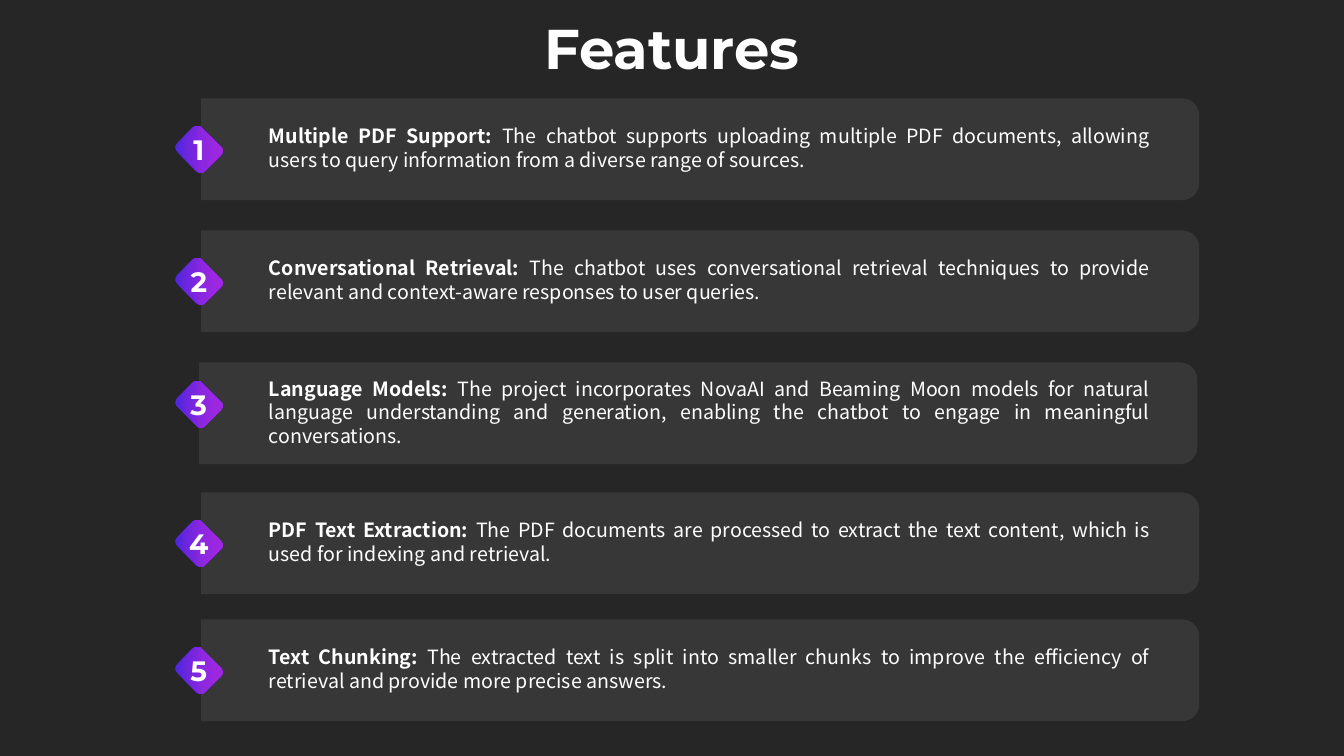
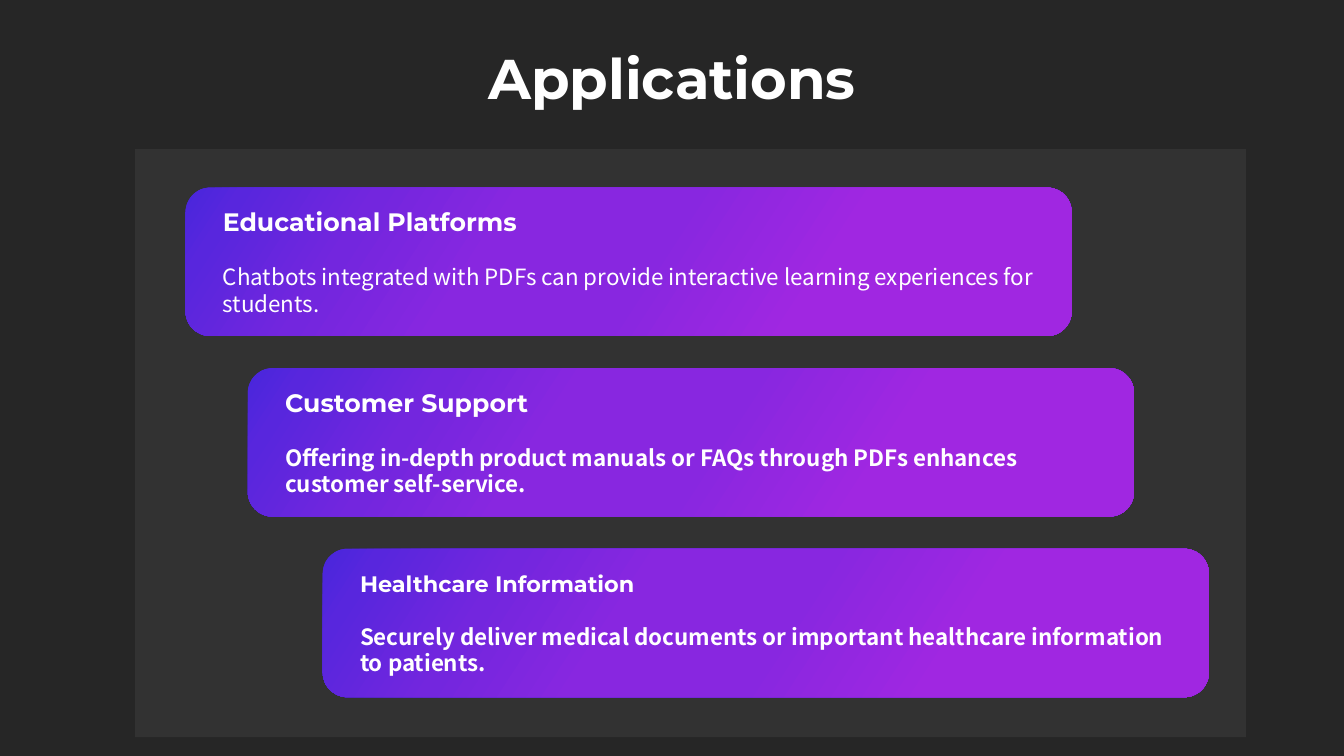
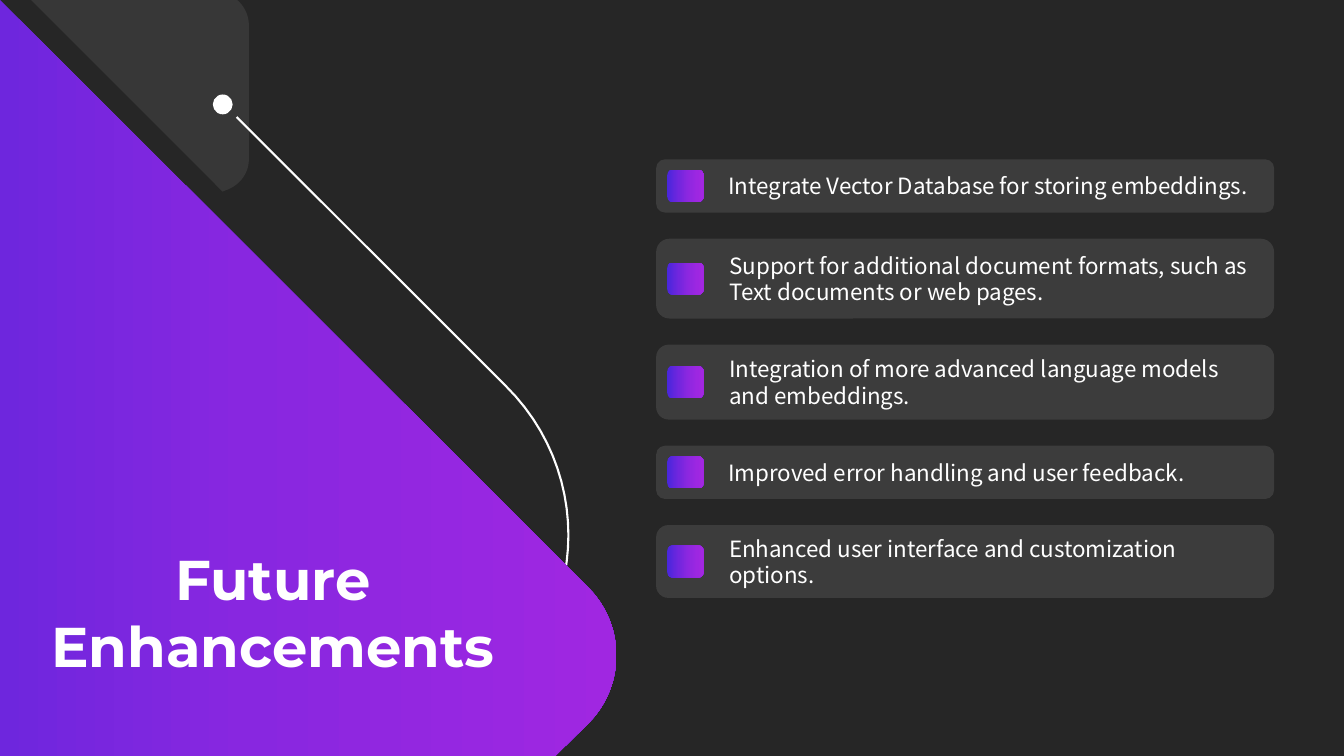
from dataclasses import dataclass

from lxml import etree
from pptx import Presentation
from pptx import util as u
from pptx.dml import color as c
from pptx.enum import shapes as s
from pptx.enum import text as t
from pptx.oxml import ns

COLORS = {
    "page": "262626", "white": "FFFFFF", "blue": "4826DC", "indigo": "4D26DC",
    "wedge": "6E26DD", "violet": "7226DE", "purple": "8827E0", "orchid": "9D27E1",
    "magenta": "A027E1", "deep": "5826DD", "plum": "7326DE", "mauve": "8D27E0",
    "pink": "A327E1",
}
HEAD_FONT = "Montserrat"
BODY_FONT = "Noto Sans CJK TC"
BADGE_STOPS = [(0, "blue"), (3, "indigo"), (32, "violet"), (58, "mauve"),
               (82, "orchid"), (100, "pink")]
CARD_STOPS = [(0, "blue"), (6, "deep"), (20, "plum"), (35, "purple"),
              (52, "purple"), (71, "magenta"), (100, "magenta")]
WEDGE_STOPS = [(0, "wedge"), (40, "purple"), (100, "magenta")]
LINE_HEIGHT = {14: 17, 16: 19}
MIDDLE = t.MSO_ANCHOR.MIDDLE


@dataclass
class Feature:
    label: str
    detail: str
    bar_mid: float
    badge_mid: float
    bar_left: float = 143.6


@dataclass
class Application:
    heading: str
    detail: str
    left: float
    heading_size: int = 18
    detail_bold: bool = True


@dataclass
class Enhancement:
    wording: str
    height: float


FEATURES = [
    Feature("Multiple PDF Support: ",
            "The chatbot supports uploading multiple PDF documents, allowing users to "
            "query information from a diverse range of sources.", 106.6, 106.6),
    Feature("Conversational Retrieval: ",
            "The chatbot uses conversational retrieval techniques to provide relevant "
            "and context-aware responses to user queries.", 200.9, 200.9),
    Feature("Language Models: ",
            "The project incorporates NovaAI and Beaming Moon models for natural language "
            "understanding and generation, enabling the chatbot to engage in meaningful "
            "conversations.", 295.2, 288.7, 142.2),
    Feature("PDF Text Extraction: ",
            "The PDF documents are processed to extract the text content, which is used "
            "for indexing and retrieval.", 388.1, 388.1),
    Feature("Text Chunking: ",
            "The extracted text is split into smaller chunks to improve the efficiency of "
            "retrieval and provide more precise answers.", 478.8, 478.8),
]
APPLICATIONS = [
    Application("Educational Platforms",
                "Chatbots integrated with PDFs can provide interactive learning "
                "experiences for students.", 132.5, detail_bold=False),
    Application("Customer Support",
                "Offering in-depth product manuals or FAQs through PDFs enhances "
                "customer self-service.", 177),
    Application("Healthcare Information",
                "Securely deliver medical documents or important healthcare information "
                "to patients.", 230.5, 16),
]
ENHANCEMENTS = [
    Enhancement("Integrate Vector Database for storing embeddings.", 38),
    Enhancement("Support for additional document formats, such as Text documents or "
                "web pages.", 57),
    Enhancement("Integration of more advanced language models and embeddings.", 53.5),
    Enhancement("Improved error handling and user feedback.", 38),
    Enhancement("Enhanced user interface and customization options.", 52),
]


# Fills and outlines
def rgb(name: str):
    return c.RGBColor.from_string(COLORS[name])


def fill_solid(shape, name: str, opacity: int = 100) -> None:
    shape.fill.solid()
    shape.fill.fore_color.rgb = rgb(name)
    if opacity < 100:
        tint = next(shape._element.spPr.iter(ns.qn("a:srgbClr")))
        etree.SubElement(tint, ns.qn("a:alpha")).set("val", str(opacity * 1000))


def fill_gradient(shape, stops: list, clockwise: float = 0) -> None:
    shape.fill.gradient()
    shape.fill.gradient_angle = (360 - clockwise) % 360
    stop_list = next(shape._element.spPr.iter(ns.qn("a:gsLst")))
    for old in list(stop_list):
        stop_list.remove(old)
    for position, name in stops:
        stop = etree.SubElement(stop_list, ns.qn("a:gs"), pos=str(position * 1000))
        etree.SubElement(stop, ns.qn("a:srgbClr"), val=COLORS[name])


def plain(shape):
    shape.shadow.inherit = False
    shape.line.fill.background()
    return shape


def add_block(slide, kind, left: float, top: float, width: float, height: float):
    return plain(slide.shapes.add_shape(
        kind, u.Pt(left), u.Pt(top), u.Pt(width), u.Pt(height)))


def bend(p0: tuple, p1: tuple, p2: tuple, p3: tuple, steps: int = 24) -> list:
    """Points along a cubic curve, ends included."""
    points = []
    for i in range(steps + 1):
        k = i / steps
        weights = ((1 - k) ** 3, 3 * k * (1 - k) ** 2, 3 * k * k * (1 - k), k ** 3)
        points.append(tuple(sum(w * p[axis] for w, p in zip(weights, (p0, p1, p2, p3)))
                            for axis in (0, 1)))
    return points


def add_outline(slide, points: list, close: bool = True):
    corners = [(u.Pt(x), u.Pt(y)) for x, y in points]
    builder = slide.shapes.build_freeform(*corners[0], scale=1.0)
    builder.add_line_segments(corners[1:], close=close)
    return plain(builder.convert_to_shape())


# Text
def style_run(run, size: float, font: str, bold: bool) -> None:
    run.font.size = u.Pt(size)
    run.font.name = font
    run.font.bold = bold
    run.font.color.rgb = rgb("white")


def style_paragraph(paragraph, size: float, font: str, bold: bool = False,
                    indent: float = 0, align=t.PP_ALIGN.LEFT) -> None:
    paragraph.alignment = align
    if font == BODY_FONT:
        paragraph.line_spacing = u.Pt(LINE_HEIGHT[size])
    if indent:
        properties = paragraph._p.get_or_add_pPr()
        properties.set("marL", str(u.Pt(indent)))
        properties.set("indent", "0")
    for run in paragraph.runs:
        style_run(run, size, font, bold)


def add_label(slide, wording: str, left: float, top: float, width: float, height: float):
    box = slide.shapes.add_textbox(u.Pt(left), u.Pt(top), u.Pt(width), u.Pt(height))
    frame = box.text_frame
    frame.word_wrap = True
    frame.vertical_anchor = MIDDLE
    frame.text = wording
    return frame.paragraphs[0]


def add_heading(slide, wording: str, left: float, top: float, width: float,
                height: float, size: float = 40) -> None:
    heading = add_label(slide, wording, left, top, width, height)
    style_paragraph(heading, size, HEAD_FONT, True, align=t.PP_ALIGN.CENTER)


# Slides
def add_feature(slide, number: int, feature: Feature) -> None:
    width, height, center = 713, 72.7, 142.2
    bar = add_block(slide, s.MSO_SHAPE.ROUND_2_SAME_RECTANGLE,
                    feature.bar_left + (width - height) / 2, feature.bar_mid - width / 2,
                    height, width)
    bar.rotation = 90
    fill_solid(bar, "white", 8)

    badge = add_block(slide, s.MSO_SHAPE.ROUNDED_RECTANGLE,
                      center - 14, feature.badge_mid - 12.2, 28, 24.4)
    badge.rotation = 45
    fill_gradient(badge, BADGE_STOPS, 315)

    description = add_label(slide, feature.label, 185, feature.bar_mid - 30, 643.7, 58)
    description.add_run().text = feature.detail
    style_paragraph(description, 14, BODY_FONT, align=t.PP_ALIGN.JUSTIFY)
    description.runs[0].font.bold = True
    add_heading(slide, str(number), center - 39.2, feature.badge_mid - 16, 78, 32, 20)


def build_features(slide) -> None:
    add_heading(slide, "Features", 0, 6, 960, 55)
    for number, feature in enumerate(FEATURES, 1):
        add_feature(slide, number, feature)


def build_applications(slide) -> None:
    add_heading(slide, "Applications", 90, 27.5, 780, 55)
    panel = add_block(slide, s.MSO_SHAPE.RECTANGLE, 96.5, 106.5, 793.5, 420)
    fill_solid(panel, "white", 6)
    for row, application in enumerate(APPLICATIONS):
        card = add_block(slide, s.MSO_SHAPE.ROUNDED_RECTANGLE,
                         application.left, 134 + 129 * row, 633, 106)
        fill_gradient(card, CARD_STOPS, 33)
        frame = card.text_frame
        frame.vertical_anchor = MIDDLE
        frame.text = f"{application.heading}\n{application.detail}"
        heading, detail = frame.paragraphs
        style_paragraph(heading, application.heading_size, HEAD_FONT, True, 14.4)
        style_paragraph(detail, 16, BODY_FONT, application.detail_bold, 14.4)
        detail.space_before = u.Pt(19)


def build_enhancements(slide) -> None:
    # White track with its dot
    turn, tail = (361, 275.4), (361, 489)
    track = add_outline(slide, [(169, 83.5), *bend(turn, (421, 334.5), (421, 430), tail),
                                (324.5, 525.5)], close=False)
    track.fill.background()
    track.line.color.rgb = rgb("white")
    track.line.width = u.Pt(1.5)
    dot = add_block(slide, s.MSO_SHAPE.OVAL, 152, 67.5, 14.2, 14.2)
    fill_solid(dot, "white")

    # Title wedge
    wedge = add_outline(slide, [(0, 0), (0, 540), (396.5, 540), *bend(
        (420, 517), (447, 490), (447, 446.5), (420, 419.5))])
    fill_gradient(wedge, WEDGE_STOPS)
    add_heading(slide, "Future Enhancements", 16.5, 384.5, 357, 104.5)

    # Rows with square bullets
    top = 113.8
    for enhancement in ENHANCEMENTS:
        row = add_block(slide, s.MSO_SHAPE.ROUNDED_RECTANGLE,
                        468.7, top, 441.4, enhancement.height)
        fill_solid(row, "white", 10)
        row.text_frame.vertical_anchor = MIDDLE
        row.text_frame.text = enhancement.wording
        style_paragraph(row.text_frame.paragraphs[0], 16, BODY_FONT, indent=42.5)
        square = add_block(slide, s.MSO_SHAPE.ROUNDED_RECTANGLE,
                           476.6, top + enhancement.height / 2 - 11.5, 26, 23)
        fill_gradient(square, BADGE_STOPS)
        top += enhancement.height + 18.7

    # Corner flap
    flap = add_outline(slide, [
        (16.5, -5.8), (159, 136.8),
        *bend((162.7, 135.4), (171.4, 131.8), (177.8, 123.8), (177.8, 113.8)),
        *bend((177.8, 18), (177.8, 5), (167, -5.8), (154, -5.8))])
    fill_solid(flap, "white", 8)


def main() -> None:
    deck = Presentation()
    deck.slide_width, deck.slide_height = u.Pt(960), u.Pt(540)
    backdrop = deck.slide_master.background.fill
    backdrop.solid()
    backdrop.fore_color.rgb = rgb("page")
    for build in (build_features, build_applications, build_enhancements):
        build(deck.slides.add_slide(deck.slide_layouts[6]))
    deck.save("out.pptx")


if __name__ == "__main__":
    main()
